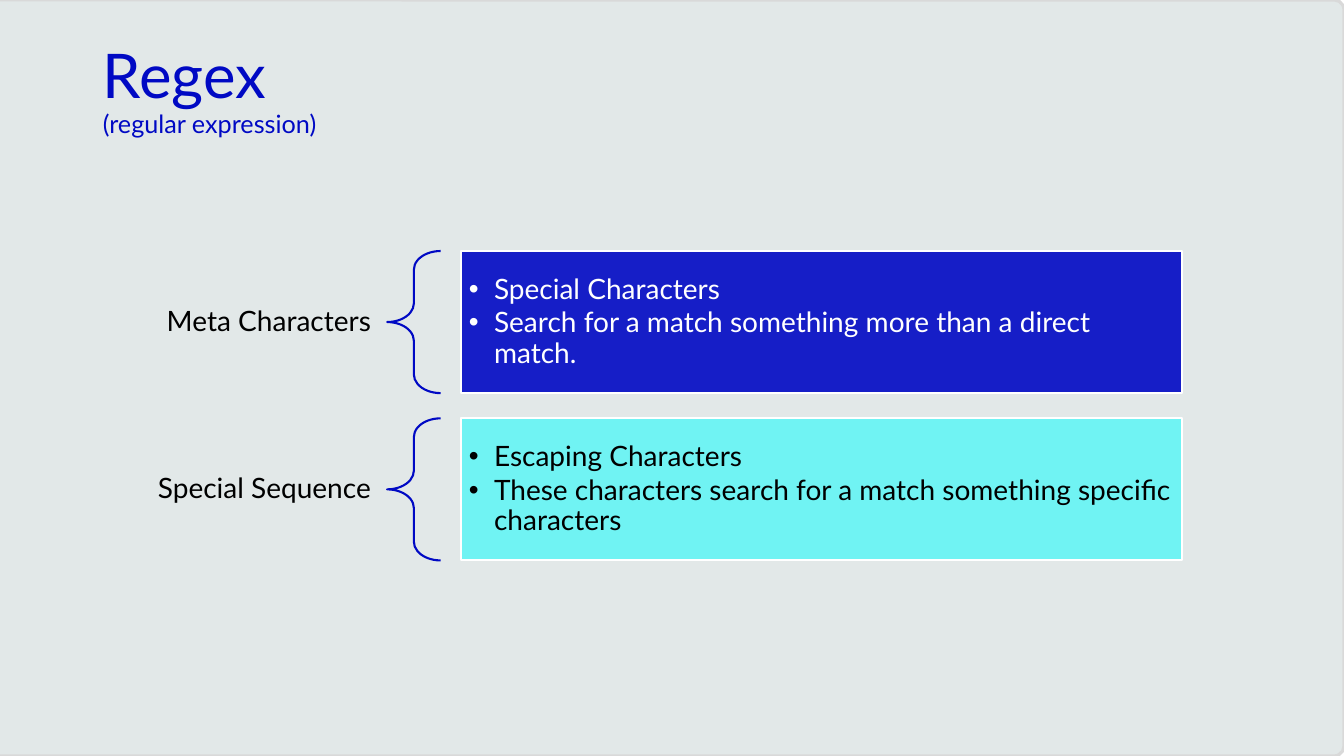
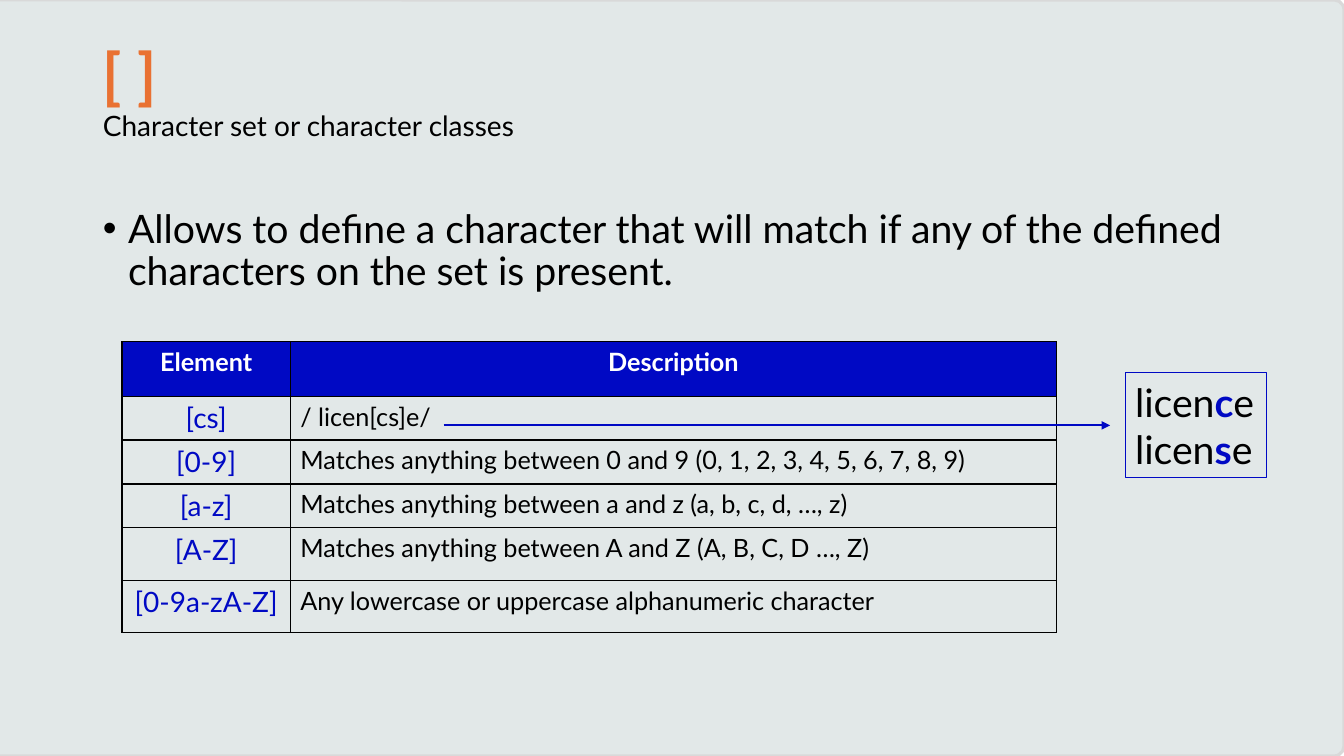
from lxml import etree
from pptx import Presentation, util as u
from pptx.dml.color import RGBColor
from pptx.enum import shapes, text
from pptx.oxml.ns import qn

PX = 9144  # one px is a hundredth of an inch
FONT = "Lato"
BLUE, CYAN, ORANGE = "0009C4", "00FFFF", "E97132"
BLACK, WHITE, PANEL, PANEL_EDGE = "000000", "FFFFFF", "E2E8E8", "D9D9D9"
LEFT, CENTER, RIGHT = text.PP_ALIGN.LEFT, text.PP_ALIGN.CENTER, text.PP_ALIGN.RIGHT


def paint(fill, colour):
    fill.solid()
    fill.fore_color.rgb = RGBColor.from_string(colour)


def write(paragraph, runs, align=LEFT, spacing=0.9, after=0, bullet=False):
    """Fill a paragraph with (text, size, colour, bold) runs; "\\n" breaks the line."""
    if bullet:
        props = paragraph._p.get_or_add_pPr()
        props.set("marL", str(25 * PX))
        props.set("indent", str(-25 * PX))
        etree.SubElement(props, qn("a:buFont")).set("typeface", "Arial")
        etree.SubElement(props, qn("a:buChar")).set("char", "•")
    paragraph.alignment = align
    paragraph.line_spacing = spacing
    paragraph.space_before, paragraph.space_after = u.Pt(0), u.Pt(after)
    for words, size, colour, bold in runs:
        if words == "\n":
            paragraph.add_line_break()
            continue
        run = paragraph.add_run()
        run.text = words
        run.font.name, run.font.size, run.font.bold = FONT, u.Pt(size), bold
        paint(run.font.fill, colour)


deck = Presentation()
deck.slide_width, deck.slide_height = 1333 * PX, 750 * PX
regex = deck.slides.add_slide(deck.slide_layouts.get_by_name("Title Only"))
char_set = deck.slides.add_slide(deck.slide_layouts.get_by_name("Title and Content"))

# Shared background panel, moved to the master
panel = regex.shapes.add_shape(shapes.MSO_SHAPE.ROUNDED_RECTANGLE, -12 * PX, 0, 1345 * PX, 750 * PX)
panel.adjustments[0] = 0.013
panel.shadow.inherit = False
paint(panel.fill, PANEL)
paint(panel.line.fill, PANEL_EDGE)
panel.line.width = u.Pt(2.25)
deck.slide_master.shapes[0].element.addprevious(panel.element)

# Titles with a smaller second line
headings = [
    (regex, [("Regex", 44, BLUE, False), ("\n", 44, BLUE, False),
             ("(regular expression)", 18, BLUE, False)]),
    (char_set, [("[ ]", 44, ORANGE, True), ("\n", 44, ORANGE, True),
                ("Character set or character classes", 20, BLACK, False)]),
]
for slide, runs in headings:
    title = slide.shapes.title
    title.left, title.top, title.width, title.height = 92 * PX, 40 * PX, 1150 * PX, 145 * PX
    title.text_frame.auto_size = text.MSO_AUTO_SIZE.NONE
    title.text_frame.vertical_anchor = text.MSO_ANCHOR.TOP
    write(title.text_frame.paragraphs[0], runs)

# Slide 1: each group of characters, a brace and its explanation
groups = [
    ("Meta Characters", BLUE, 90, WHITE,
     ["Special Characters", "Search for a match something more than a direct match."]),
    ("Special Sequence", CYAN, 50, BLACK,
     ["Escaping Characters", "These characters search for a match something specific characters"]),
]
GROUP_TOP, GROUP_STEP, GROUP_HEIGHT = 249, 166, 141
for index, (name, colour, opacity, ink, points) in enumerate(groups):
    top, height = (GROUP_TOP + index * GROUP_STEP) * PX, GROUP_HEIGHT * PX

    label = regex.shapes.add_textbox(121 * PX, top, 263 * PX, height).text_frame
    label.word_wrap = True
    label.vertical_anchor = text.MSO_ANCHOR.MIDDLE
    label.margin_left = label.margin_right = 16 * PX
    label.margin_top = label.margin_bottom = 6 * PX
    write(label.paragraphs[0], [(name, 20, BLACK, False)], RIGHT)

    brace = regex.shapes.add_shape(shapes.MSO_SHAPE.LEFT_BRACE, 384 * PX, top, 53 * PX, height)
    brace.adjustments[0], brace.adjustments[1] = 0.35, 0.5
    brace.fill.background()
    paint(brace.line.fill, BLUE)

    box = regex.shapes.add_shape(shapes.MSO_SHAPE.RECTANGLE, 457 * PX, top, 715 * PX, height)
    paint(box.fill, colour)
    alpha = etree.SubElement(box.element.spPr.find(".//" + qn("a:srgbClr")), qn("a:alpha"))
    alpha.set("val", str(opacity * 1000))
    paint(box.line.fill, WHITE)
    for outlined in (brace, box):
        outlined.line.width = u.Pt(1.5)
        outlined.shadow.inherit = False

    details = box.text_frame
    details.word_wrap = True
    details.vertical_anchor = text.MSO_ANCHOR.MIDDLE
    details.margin_left = details.margin_right = 8 * PX
    details.margin_top = details.margin_bottom = 8 * PX
    for number, point in enumerate(points):
        paragraph = details.add_paragraph() if number else details.paragraphs[0]
        write(paragraph, [(point, 20, ink, False)], after=2.5, bullet=True)

# Slide 2: definition
definition = char_set.placeholders[1]
definition.left, definition.top = 92 * PX, 203 * PX
definition.width, definition.height = 1150 * PX, 476 * PX
definition.text_frame.auto_size = text.MSO_AUTO_SIZE.NONE
write(definition.text_frame.paragraphs[0],
      [("Allows to define a character that will match if any of the defined "
        "characters on the set is present.", 28, BLACK, False)], bullet=True)

# Slide 2: table of elements
elements = [
    ("Element", "Description", 54),
    ("[cs]", "/ licen[cs]e/", 42),
    ("[0-9]", "Matches anything between 0 and 9 (0, 1, 2, 3, 4, 5, 6, 7, 8, 9)", 41),
    ("[a-z]", "Matches anything between a and z (a, b, c, d, …, z)", 42),
    ("[A-Z]", "Matches anything between A and Z (A, B, C, D …, Z)", 52),
    ("[0-9a-zA-Z]", "Any lowercase or uppercase alphanumeric character", 52),
]
table = char_set.shapes.add_table(len(elements), 2, 121 * PX, 339 * PX, 927 * PX, 288 * PX).table
table.columns[0].width, table.columns[1].width = 167 * PX, 760 * PX
for row, (element, description, height) in enumerate(elements):
    table.rows[row].height = height * PX
    for column, words in enumerate((element, description)):
        cell = table.cell(row, column)
        props = cell._tc.get_or_add_tcPr()
        for side in ("lnL", "lnR", "lnT", "lnB"):
            border = etree.SubElement(props, qn("a:" + side), w=str(u.Pt(1)))
            ink = etree.SubElement(border, qn("a:solidFill"))
            etree.SubElement(ink, qn("a:srgbClr"), val=BLACK)
        if row == 0:
            paint(cell.fill, BLUE)
            style, align = (18, WHITE, True), CENTER
        else:
            cell.fill.background()
            style, align = ((18, BLACK, False), LEFT) if column else ((20, BLUE, False), CENTER)
        write(cell.text_frame.paragraphs[0], [(words, *style)], align, spacing=1.0)

# Slide 2: the two spellings matched by [cs]
spellings = char_set.shapes.add_textbox(1116 * PX, 370 * PX, 140 * PX, 104 * PX)
paint(spellings.line.fill, BLUE)
spellings.line.width = u.Pt(0.75)
spellings.text_frame.word_wrap = False
for number, letter in enumerate("cs"):
    frame = spellings.text_frame
    paragraph = frame.add_paragraph() if number else frame.paragraphs[0]
    write(paragraph, [("licen", 28, BLACK, False), (letter, 28, BLUE, True),
                      ("e", 28, BLACK, False)], spacing=1.0)

# Slide 2: arrow from the pattern to its matches
arrow = char_set.shapes.add_connector(shapes.MSO_CONNECTOR.STRAIGHT,
                                      440 * PX, 422 * PX, 1101 * PX, 422 * PX)
paint(arrow.line.fill, BLUE)
arrow.line.width = u.Pt(1.5)
arrow_props = arrow.element.spPr
etree.SubElement(arrow_props.find(qn("a:ln")), qn("a:tailEnd"), type="triangle")
etree.SubElement(arrow_props, qn("a:effectLst"))

deck.save("out.pptx")
